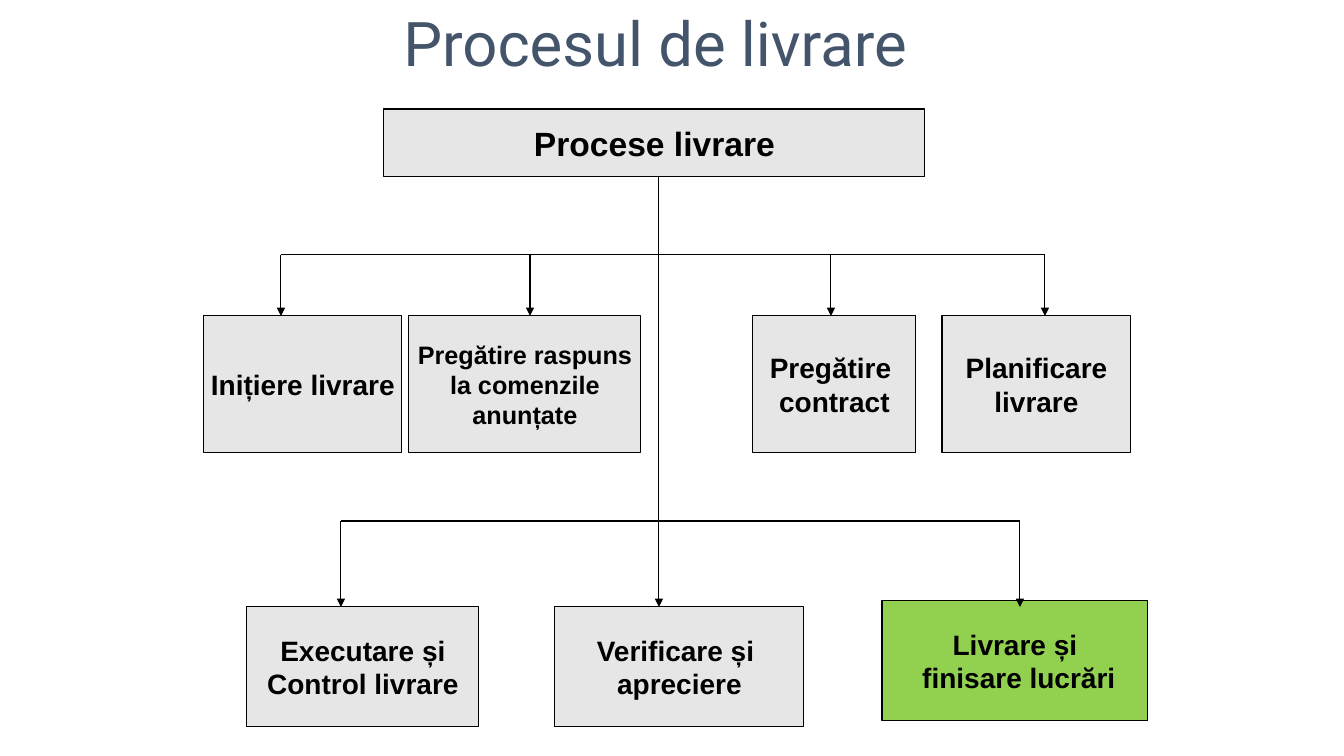
from lxml.etree import SubElement
from pptx import Presentation
from pptx.dml.color import RGBColor
from pptx.enum.shapes import MSO_CONNECTOR, MSO_SHAPE
from pptx.enum.text import MSO_ANCHOR, PP_ALIGN
from pptx.oxml.ns import qn
from pptx.util import Pt

PX = 12192000 / 1344  # EMU per px
COLORS = {"title": "44546A", "ink": "000000", "box": "E7E6E6", "final": "92D050"}


def px(*lengths):
    return [round(n * PX) for n in lengths]


def rgb(name):
    return RGBColor.from_string(COLORS[name])


def write(tf, lines, size, font, color, bold=False):
    for i, line in enumerate(lines):
        p = tf.paragraphs[0] if i == 0 else tf.add_paragraph()
        p.text = line
        p.alignment = PP_ALIGN.CENTER
        p.font.name, p.font.size, p.font.bold = font, Pt(size), bold
        p.font.color.rgb = rgb(color)


def add_title(s, box, text):
    tf = s.shapes.add_textbox(*px(*box)).text_frame
    tf.word_wrap = True
    write(tf, [text], 44, "Roboto", "title")


def add_box(s, box, lines, size=20, fill="box"):
    sp = s.shapes.add_shape(MSO_SHAPE.RECTANGLE, *px(*box))
    sp.shadow.inherit = False
    sp.fill.solid()
    sp.fill.fore_color.rgb = rgb(fill)
    sp.line.color.rgb = rgb("ink")
    sp.line.width = Pt(0.75)
    tf = sp.text_frame
    tf.word_wrap = False
    tf.vertical_anchor = MSO_ANCHOR.MIDDLE
    write(tf, lines, size, "Arial", "ink", bold=True)


def add_line(s, x1, y1, x2, y2, arrow=True):
    c = s.shapes.add_connector(MSO_CONNECTOR.STRAIGHT, *px(x1, y1, x2, y2))
    c.line.color.rgb = rgb("ink")
    c.line.width = Pt(0.75)
    if arrow:
        SubElement(c.line._get_or_add_ln(), qn("a:tailEnd"), type="triangle")
    SubElement(c._element.spPr, qn("a:effectLst"))


def add_branch(s, y, bottom, drops):
    """Horizontal bar at y with an arrow down to bottom at each drop."""
    add_line(s, drops[0], y, drops[-1], y, arrow=False)
    for x in drops:
        add_line(s, x, y, x, bottom)


def add_row(s, top, height, boxes):
    for left, width, lines, size in boxes:
        add_box(s, (left, top, width, height), lines, size)


def add_process_tree(s, box):
    left, top, width, height = box
    row1, row2, bottom = top + 207, top + 498, top + height

    # Root and the two rows of steps
    add_box(s, (left + 180, top, 541, 68), ["Procese livrare"], 24)
    add_row(s, row1, 137, [
        (left, 198, ["Inițiere livrare"], 20),
        (left + 205, 232, ["Pregătire raspuns", " la comenzile ", "anunțate"], 18),
        (left + 549, 163, ["Pregătire ", "contract"], 20),
        (left + 738, 189, ["Planificare", "livrare"], 20),
    ])
    add_row(s, row2, bottom - row2, [
        (left + 43, 232, ["Executare și", "Control livrare"], 20),
        (left + 351, 249, ["Verificare și ", "apreciere"], 20),
    ])
    add_box(s, (left + 678, row2 - 6, width - 678, 120),
            ["Livrare și", " finisare lucrări"], fill="final")

    # Spine and branches
    add_line(s, left + 455, top + 68, left + 455, row2)
    add_branch(s, top + 146, row1, [left + x for x in (77, 326, 627, 841)])
    add_branch(s, top + 412, row2, [left + x for x in (137, 816)])


def main():
    prs = Presentation()
    prs.slide_width, prs.slide_height = px(1344, 756)
    s = prs.slides.add_slide(prs.slide_layouts[6])
    add_process_tree(s, (204, 109, 944, 618))
    add_title(s, (266, 0, 779, 84), "Procesul de livrare")
    prs.save("out.pptx")


if __name__ == "__main__":
    main()
